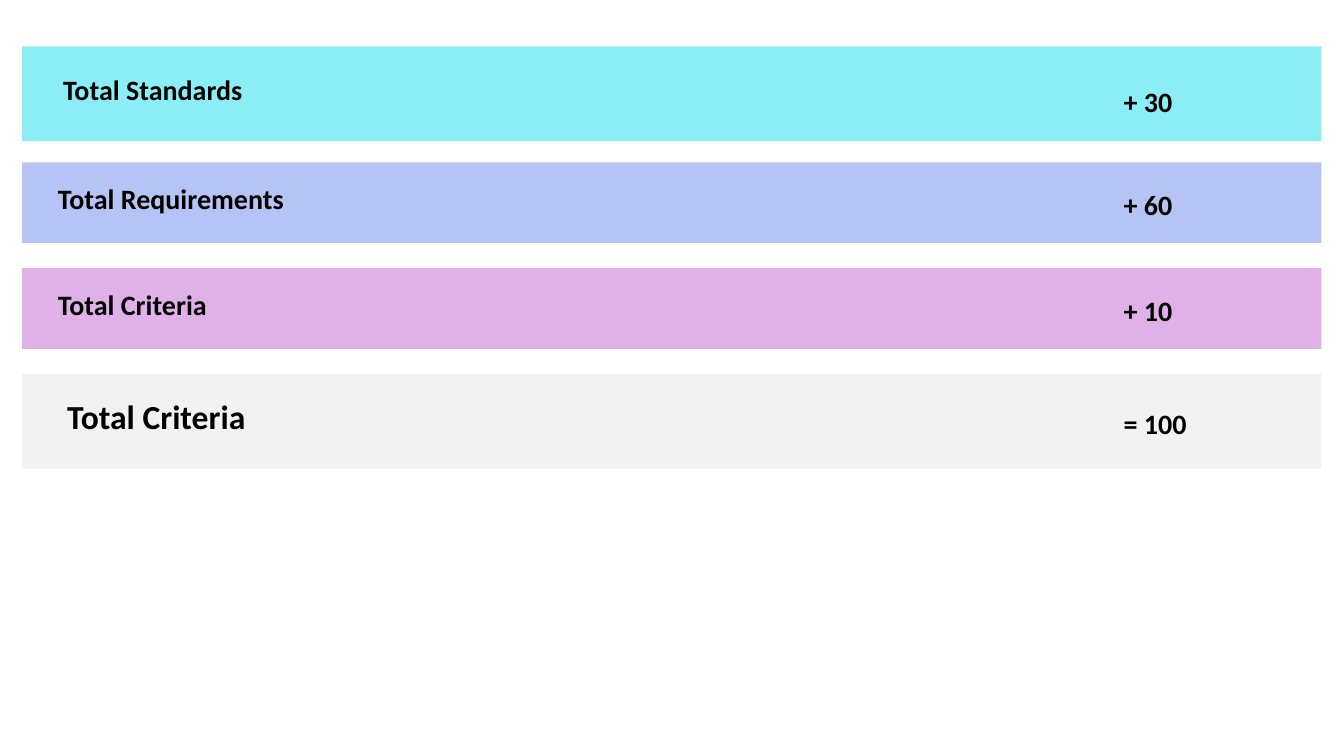
from pptx import Presentation
from pptx.dml.color import RGBColor
from pptx.enum.shapes import MSO_SHAPE as Shape
from pptx.enum.text import MSO_ANCHOR as Anchor, PP_ALIGN as Align
from pptx.util import Cm, Pt


def color(value):
    return RGBColor.from_string(value)


def write(frame, text, size):
    frame.word_wrap = True
    para = frame.paragraphs[0]
    para.alignment = Align.LEFT
    span = para.add_run()
    span.text = text
    span.font.name = "Calibri"
    span.font.size = Pt(size)
    span.font.bold = True
    span.font.color.rgb = color("000000")
    return para


deck = Presentation()
deck.slide_width = Cm(33.87)
deck.slide_height = Cm(19.05)
page = deck.slides.add_slide(deck.slide_layouts[6])

totals = [
    ("Total Standards", 20, 1.03, "+ 30", 2.01, 1.17, 2.39, "8BEEF6"),
    ("Total Requirements", 20, 0.9, "+ 60", 4.6, 4.09, 2.03, "B6C3F5"),
    ("Total Criteria", 20, 0.9, "+ 10", 7.26, 6.76, 2.03, "E0B1E9"),
    ("Total Criteria", 24, 1.13, "= 100", 10.11, 9.42, 2.39, "F2F2F2"),
]

for label, size, indent, amount, amount_top, top, height, fill in totals:
    bar = page.shapes.add_shape(Shape.RECTANGLE, Cm(0.56), Cm(top), Cm(32.74), Cm(height))
    bar.shadow.inherit = False
    bar.fill.solid()
    bar.fill.fore_color.rgb = color(fill)
    bar.line.fill.background()
    frame = bar.text_frame
    frame.vertical_anchor = Anchor.MIDDLE
    frame.margin_left = Cm(indent)
    frame.margin_top = frame.margin_right = Cm(0.03)
    frame.margin_bottom = Cm(0.15)
    write(frame, label, size).line_spacing = 0.9

    box = page.shapes.add_textbox(Cm(28.07), Cm(amount_top), Cm(4.78), Cm(1.12))
    write(box.text_frame, amount, 20)

deck.save("out.pptx")
